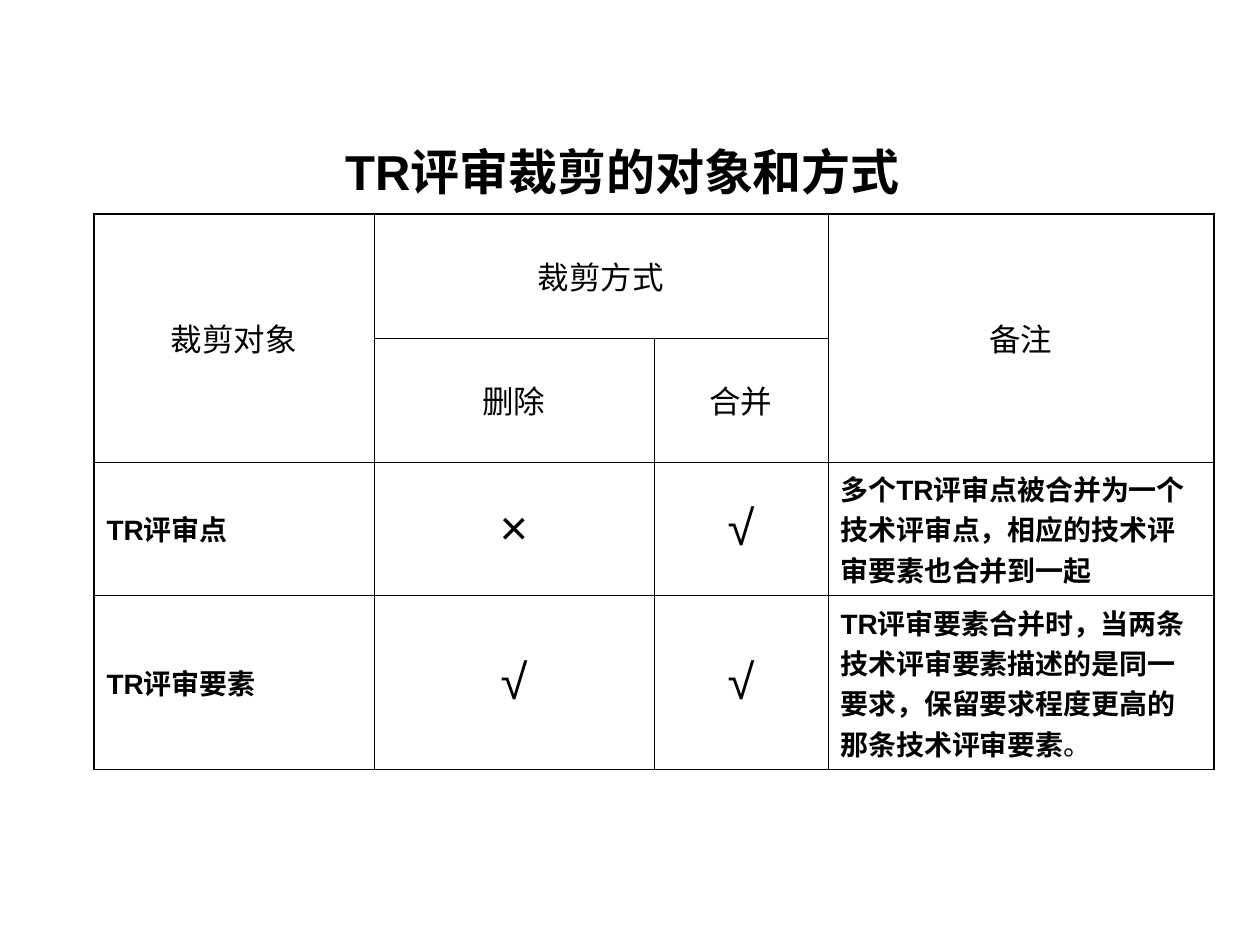
from lxml.etree import SubElement
from pptx import Presentation
from pptx.dml.color import RGBColor
from pptx.enum.text import MSO_ANCHOR as Anchor, MSO_AUTO_SIZE as AutoSize, PP_ALIGN as Align
from pptx.oxml.ns import qn
from pptx.util import Pt

PX_PER_INCH = 126
INK = "000000"
OUTER_LINE, INNER_LINE = 1.08, 0.45

# Text formats: font values and paragraph values
TITLE = {"font": {"size": Pt(28), "bold": True},
         "paragraph": {"alignment": Align.CENTER}}
HEADER = {"font": {"size": Pt(18), "bold": False},
          "paragraph": {"alignment": Align.CENTER, "space_before": Pt(4.5)}}
MARK = {"font": {"size": Pt(28), "bold": False},
        "paragraph": {"alignment": Align.CENTER, "space_before": Pt(7)}}
NOTE = {"font": {"size": Pt(16), "bold": True},
        "paragraph": {"alignment": Align.LEFT, "space_before": Pt(4)}}

COLUMN_WIDTHS = [280, 280, 174, 386]
ROW_HEIGHTS = [124, 124, 126, 147]
MERGES = [((0, 0), (1, 0)), ((0, 1), (0, 2)), ((0, 3), (1, 3))]
ROWS = [
    ["裁剪对象", "裁剪方式", None, "备注"],
    [None, "删除", "合并", None],
    ["TR评审点", "×", "√", "多个TR评审点被合并为一个技术评审点，相应的技术评审要素也合并到一起"],
    ["TR评审要素", "√", "√",
     "TR评审要素合并时，当两条技术评审要素描述的是同一要求，保留要求程度更高的那条技术评审要素"],
]


def px(length):
    return round(length * 914400 / PX_PER_INCH)


def color(hex_value):
    return RGBColor.from_string(hex_value)


def set_values(target, values):
    for name, value in values.items():
        setattr(target, name, value)


def add_text(paragraph, text, style, **font_changes):
    set_values(paragraph, style["paragraph"])
    run = paragraph.add_run()
    run.text = text
    set_values(run.font, {"name": "Arial", **style["font"], **font_changes})
    run.font.color.rgb = color(INK)


def add_border(cell, side, width):
    line = SubElement(cell._tc.get_or_add_tcPr(), qn(f"a:ln{side}"), w=str(Pt(width)))
    fill = SubElement(line, qn("a:solidFill"))
    SubElement(fill, qn("a:srgbClr"), val=INK)


def cell_style(row, column):
    if row < 2:
        return HEADER
    return MARK if column in (1, 2) else NOTE


def build_title(slide, left, top, width, height):
    title = slide.shapes.title
    set_values(title, {"left": px(left), "top": px(top),
                       "width": px(width), "height": px(height)})
    set_values(title.text_frame, {"vertical_anchor": Anchor.BOTTOM, "word_wrap": True,
                                  "auto_size": AutoSize.NONE})
    add_text(title.text_frame.paragraphs[0], "TR评审裁剪的对象和方式", TITLE)


def build_table(slide, left, top):
    frame = slide.shapes.add_table(len(ROW_HEIGHTS), len(COLUMN_WIDTHS), px(left), px(top),
                                   px(sum(COLUMN_WIDTHS)), px(sum(ROW_HEIGHTS)))
    table = frame.table
    set_values(table, {"first_row": False, "horz_banding": False})
    for column, width in zip(table.columns, COLUMN_WIDTHS):
        column.width = px(width)
    for row, height in zip(table.rows, ROW_HEIGHTS):
        row.height = px(height)
    for first, last in MERGES:
        table.cell(*first).merge(table.cell(*last))

    last_row, last_column = len(ROW_HEIGHTS) - 1, len(COLUMN_WIDTHS) - 1
    for r, texts in enumerate(ROWS):
        for c, text in enumerate(texts):
            cell = table.cell(r, c)
            # The frame is thicker than the inner grid
            outer_sides = {"L": c == 0, "R": c == last_column,
                           "T": r == 0, "B": r == last_row}
            for side, is_outer in outer_sides.items():
                add_border(cell, side, OUTER_LINE if is_outer else INNER_LINE)
            cell.fill.background()
            cell.vertical_anchor = Anchor.MIDDLE
            if text:
                add_text(cell.text_frame.paragraphs[0], text, cell_style(r, c))

    # The closing full stop is not bold
    closing_note = table.cell(last_row, last_column).text_frame.paragraphs[0]
    add_text(closing_note, "。", NOTE, bold=False)


def main():
    presentation = Presentation()
    presentation.slide_width, presentation.slide_height = px(1260), px(945)
    slide = presentation.slides.add_slide(presentation.slide_layouts[5])
    build_title(slide, 44, 106, 1157, 101)
    build_table(slide, 94, 214)
    presentation.save("out.pptx")


if __name__ == "__main__":
    main()
